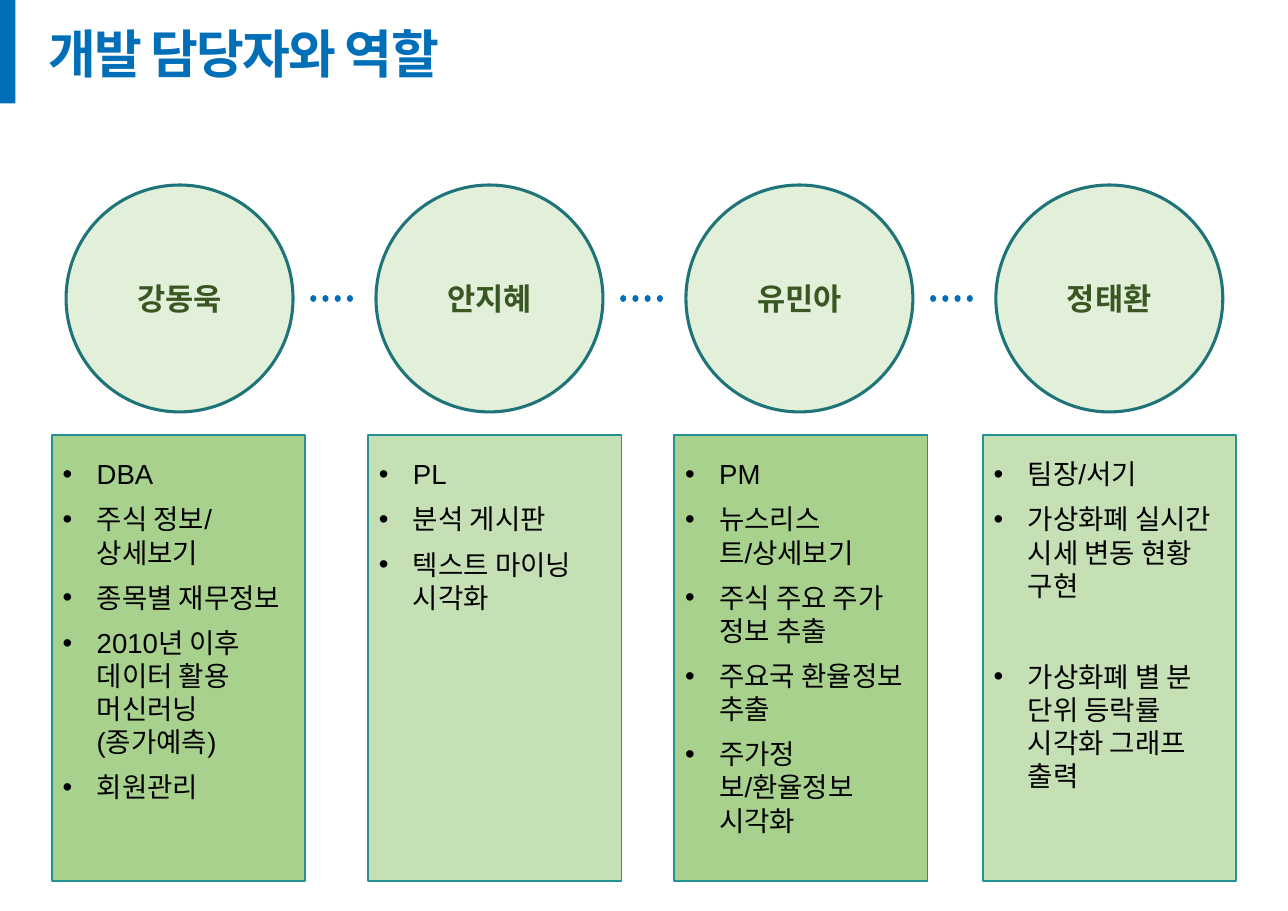
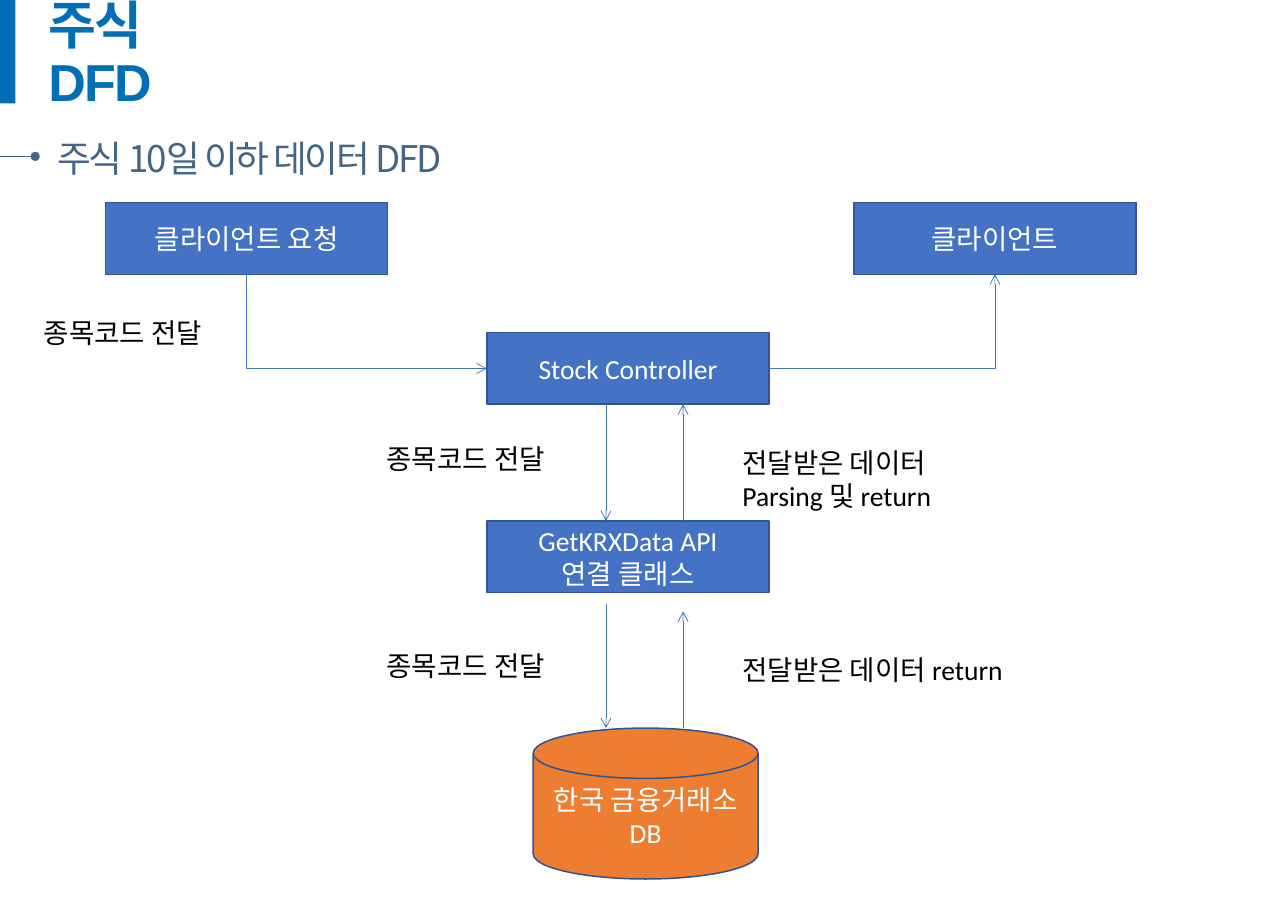
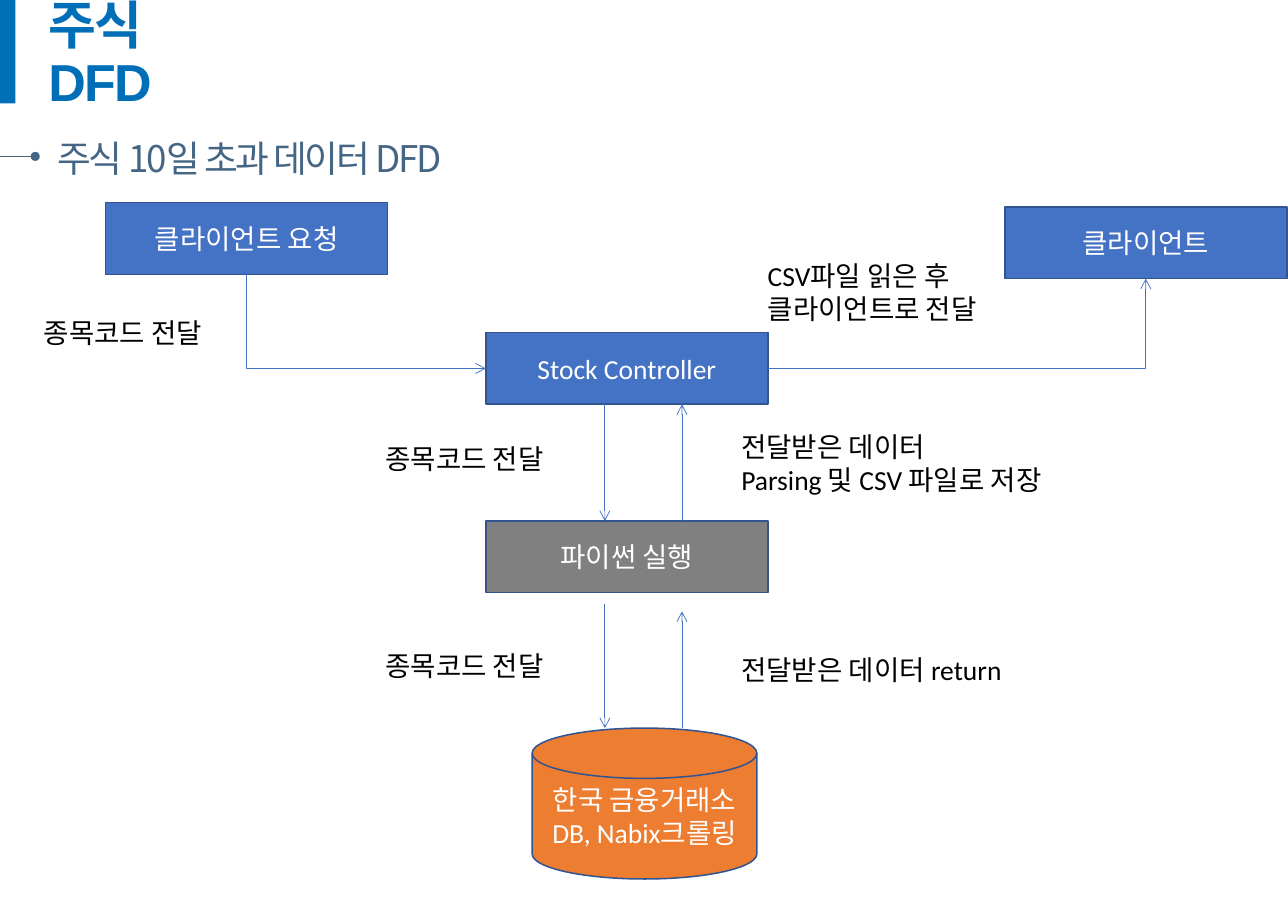
import dataclasses
import pptx
import pptx.dml.color
import pptx.enum.dml
import pptx.enum.shapes
import pptx.enum.text
import pptx.oxml.ns
import pptx.util
from lxml import etree

SHAPE = pptx.enum.shapes.MSO_SHAPE
LINK = pptx.enum.shapes.MSO_CONNECTOR
ALIGN = pptx.enum.text.PP_ALIGN
ANCHOR = pptx.enum.text.MSO_ANCHOR
qn = pptx.oxml.ns.qn

COLS, ROWS = 116.9, 82.7
CELL = pptx.util.Inches(0.1)


@dataclasses.dataclass(frozen=True)
class Theme:
    accent: str = "016FB8"
    subtitle: str = "446684"
    ink: str = "000000"
    white: str = "FFFFFF"
    circle: str = "E2F0D9"
    circle_edge: str = "1E7478"
    name: str = "385723"
    panels: tuple = ("A9D18E", "C5E0B4")
    panel_edge: str = "259095"
    node: str = "4472C4"
    node_edge: str = "325491"
    script: str = "808080"
    store: str = "ED7D31"
    head_font: str = "Arial"
    flow_font: str = "Calibri"
    korean_font: str = "Noto Sans CJK KR"
    title_size: int = 34
    subtitle_size: int = 24
    name_size: int = 20
    body_size: int = 18


T = Theme()


def cells(*values):
    return [round(v * CELL) for v in values]


def rgb(code):
    return pptx.dml.color.RGBColor.from_string(code)


def write(sp, paragraphs, font=T.flow_font, size=T.body_size, color=T.ink, bold=False,
          align=ALIGN.LEFT, anchor=ANCHOR.TOP, inset=(1, 0.5, 1, 0.5), tracking=0,
          leading=None, bullet=False, gap=0, wide_gaps=()):
    tf = sp.text_frame
    tf.word_wrap = True
    tf.vertical_anchor = anchor
    tf.margin_left, tf.margin_top, tf.margin_right, tf.margin_bottom = cells(*inset)
    for i, text in enumerate(paragraphs):
        p = tf.add_paragraph() if i else tf.paragraphs[0]
        p.text = text
        p.alignment = align
        if leading:
            p.line_spacing = leading
        if i and gap:
            p.space_before = pptx.util.Pt(dict(wide_gaps).get(i, gap))
        if bullet:
            pPr = p._p.get_or_add_pPr()
            indent = cells(3.1)[0]
            pPr.set("marL", str(indent))
            pPr.set("indent", str(-indent))
            etree.SubElement(pPr, qn("a:buFont")).set("typeface", T.head_font)
            etree.SubElement(pPr, qn("a:buChar")).set("char", "•")
        for r in p.runs:
            r.font.name, r.font.size, r.font.bold = font, pptx.util.Pt(size), bold
            r.font.color.rgb = rgb(color)
            rPr = r.font._element
            etree.SubElement(rPr, qn("a:ea")).set("typeface", T.korean_font)
            if tracking:
                rPr.set("spc", str(round(tracking * 100)))
    return sp


def label(s, x, y, w, h, *paragraphs, **fmt):
    return write(s.shapes.add_textbox(*cells(x, y, w, h)), paragraphs, **fmt)


def block(s, kind, x, y, w, h, fill, edge=None, weight=1):
    sp = s.shapes.add_shape(kind, *cells(x, y, w, h))
    sp.shadow.inherit = False
    sp.fill.solid()
    sp.fill.fore_color.rgb = rgb(fill)
    if edge:
        sp.line.color.rgb = rgb(edge)
        sp.line.width = pptx.util.Pt(weight)
    else:
        sp.line.fill.background()
    return sp


def link(s, x1, y1, x2, y2, color=T.node, weight=0.5, tail=None, head=None,
         dotted=False, kind=LINK.STRAIGHT):
    c = s.shapes.add_connector(kind, *cells(x1, y1, x2, y2))
    c.line.color.rgb = rgb(color)
    c.line.width = pptx.util.Pt(weight)
    if dotted:
        c.line.dash_style = pptx.enum.dml.MSO_LINE.ROUND_DOT
    spPr = c._element.spPr
    ln = spPr.find(qn("a:ln"))
    if dotted:
        ln.set("cap", "rnd")
    for tag, end in (("a:headEnd", head), ("a:tailEnd", tail)):
        if end:
            etree.SubElement(ln, qn(tag)).set("type", end)
    etree.SubElement(spPr, qn("a:effectLst"))
    return c


def corner(s, start, side, target, **ends):
    c = link(s, 0, 0, 1, 1, kind=LINK.ELBOW, **ends)
    c.begin_connect(start, side)
    c.end_connect(target, 2)
    c._element.spPr.find(qn("a:prstGeom")).set("prst", "bentConnector2")


def titled_slide(prs, title, width):
    s = prs.slides.add_slide(prs.slide_layouts[6])
    block(s, SHAPE.RECTANGLE, 0, 0, 1.4, 9.4, T.accent)
    label(s, 3.4, 2, width, 6.2, title, font=T.head_font, size=T.title_size,
          color=T.accent, bold=True, anchor=ANCHOR.MIDDLE, tracking=-1.1, leading=0.9)
    return s


def name_circle(s, x, y, d, name):
    sp = block(s, SHAPE.OVAL, x, y, d, d, T.circle, T.circle_edge, 2)
    write(sp, [name], font=T.head_font, size=T.name_size, color=T.name, bold=True,
          align=ALIGN.CENTER, anchor=ANCHOR.MIDDLE, inset=(0, 0, 0, 0))


def role_panel(s, x, y, w, h, fill, tasks, wide_gaps):
    sp = block(s, SHAPE.RECTANGLE, x, y, w, h, fill, T.panel_edge)
    write(sp, tasks, font=T.head_font, inset=(1, 2, 1, 0.5), bullet=True, gap=8,
          wide_gaps=wide_gaps)


def roles_slide(prs, title, members):
    s = titled_slide(prs, title, 40.3)
    left, top, d, pitch = 6, 16.8, 20.6, 28.13
    for i, (name, panel_x, tasks, wide_gaps) in enumerate(members):
        x = left + i * pitch
        name_circle(s, x, top, d, name)
        if i:
            link(s, x - 5.7, top + d / 2, x - 1.8, top + d / 2, T.accent, 4, dotted=True)
        role_panel(s, panel_x, 39.5, 23, 40.5, T.panels[i % 2], tasks, wide_gaps)


def subtitle(s, x, y, text):
    link(s, 0, y + 2.4, x - 1, y + 2.4, T.subtitle, tail="oval")
    label(s, x, y, 42, 5, text, font=T.korean_font, size=T.subtitle_size,
          color=T.subtitle, tracking=-1.5)


def node(s, x, y, paragraphs, fill=T.node, kind=SHAPE.RECTANGLE, w=25.6, h=6.5):
    return write(block(s, kind, x, y, w, h, fill, T.node_edge), paragraphs,
                 color=T.white, align=ALIGN.CENTER, anchor=ANCHOR.MIDDLE)


def chain(s, x, y, worker, worker_fill, store, answer, answer_y):
    controller = node(s, x, y, ["Stock Controller"])
    node(s, x, y + 17.1, worker, worker_fill)
    node(s, x + 4.2, y + 35.9, [store], T.store, SHAPE.FLOWCHART_MAGNETIC_DISK, 20.4, 13.7)
    for start, tip, end in ((6.5, 6.5, 17.1), (24.6, 25.3, 35.9)):
        link(s, x + 10.8, y + start, x + 10.8, y + end, tail="arrow")
        link(s, x + 17.8, y + end, x + 17.8, y + tip, tail="arrow")
    for row in (9.4, 28.2):
        label(s, x - 10.1, y + row, 17.7, 4, "종목코드 전달")
    label(s, x + 22.2, y + answer_y, 36, 7.1, *answer)
    label(s, x + 22.2, y + 28.6, 27.3, 4, "전달받은 데이터 return")
    return controller


def flow_slide(prs, title, heading, x, client_at, **parts):
    s = titled_slide(prs, title, 19)
    subtitle(s, 4.2, 11.8, heading)
    request = node(s, 9.6, 18.4, ["클라이언트 요청"])
    label(s, 3, 28.2, 17.7, 4, "종목코드 전달")
    controller = chain(s, x, 30.2, **parts)
    client = node(s, *client_at, ["클라이언트"])
    corner(s, controller, 1, request, head="arrow")
    corner(s, controller, 3, client, tail="arrow")
    return s


MEMBERS = [
    ("강동욱", 4.7, ["DBA", "주식 정보/\n상세보기", "종목별 재무정보",
                  "2010년 이후 데이터 활용 머신러닝\n(종가예측)", "회원관리"], ()),
    ("안지혜", 33.4, ["PL", "분석 게시판", "텍스트 마이닝 시각화"], ()),
    ("유민아", 61.2, ["PM", "뉴스리스트/상세보기", "주식 주요 주가 정보 추출",
                   "주요국 환율정보 추출", "주가정보/환율정보 시각화"], ()),
    ("정태환", 89.2, ["팀장/서기", "가상화폐 실시간 시세 변동 현황 구현",
                   "가상화폐 별 분 단위 등락률 시각화 그래프 출력"], ((2, 38),)),
]


def main():
    prs = pptx.Presentation()
    prs.slide_width, prs.slide_height = cells(COLS, ROWS)
    roles_slide(prs, "개발 담당자와 역할", MEMBERS)
    flow_slide(prs, "주식 DFD", "주식 10일 이하 데이터 DFD", 44.2, (77.5, 18.4),
               worker=["GetKRXData API", "연결 클래스"], worker_fill=T.node,
               store="한국 금융거래소 DB",
               answer=["전달받은 데이터", "Parsing 및 return"], answer_y=9.8)
    s = flow_slide(prs, "주식 DFD", "주식 10일 초과 데이터 DFD", 44.1, (91.2, 18.8),
                   worker=["파이썬 실행"], worker_fill=T.script,
                   store="한국 금융거래소 DB, Nabix크롤링",
                   answer=["전달받은 데이터", "Parsing 및 CSV 파일로 저장"], answer_y=8.3)
    label(s, 68.7, 23, 22, 7.1, "CSV파일 읽은 후", "클라이언트로 전달")
    prs.save("out.pptx")


if __name__ == "__main__":
    main()
